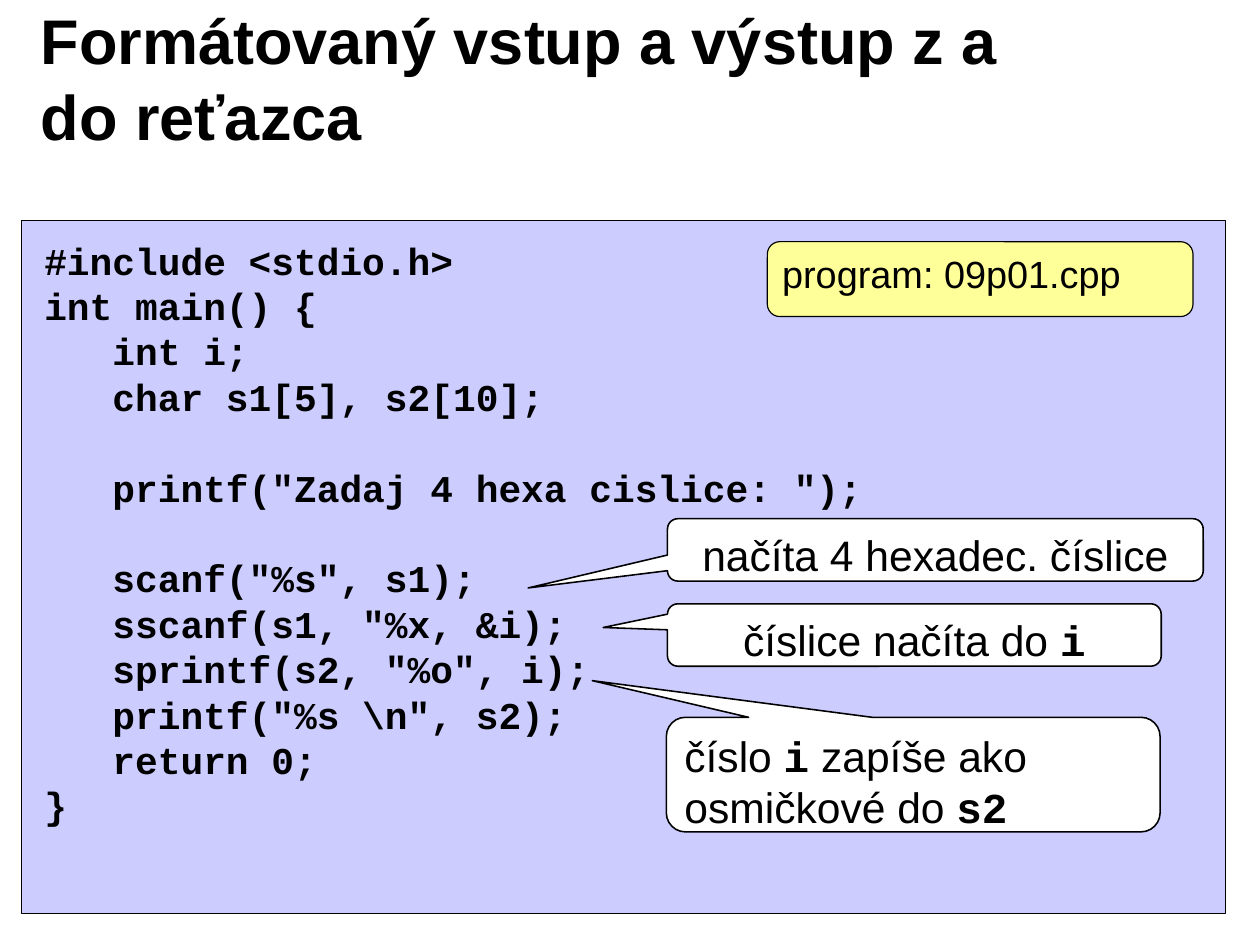
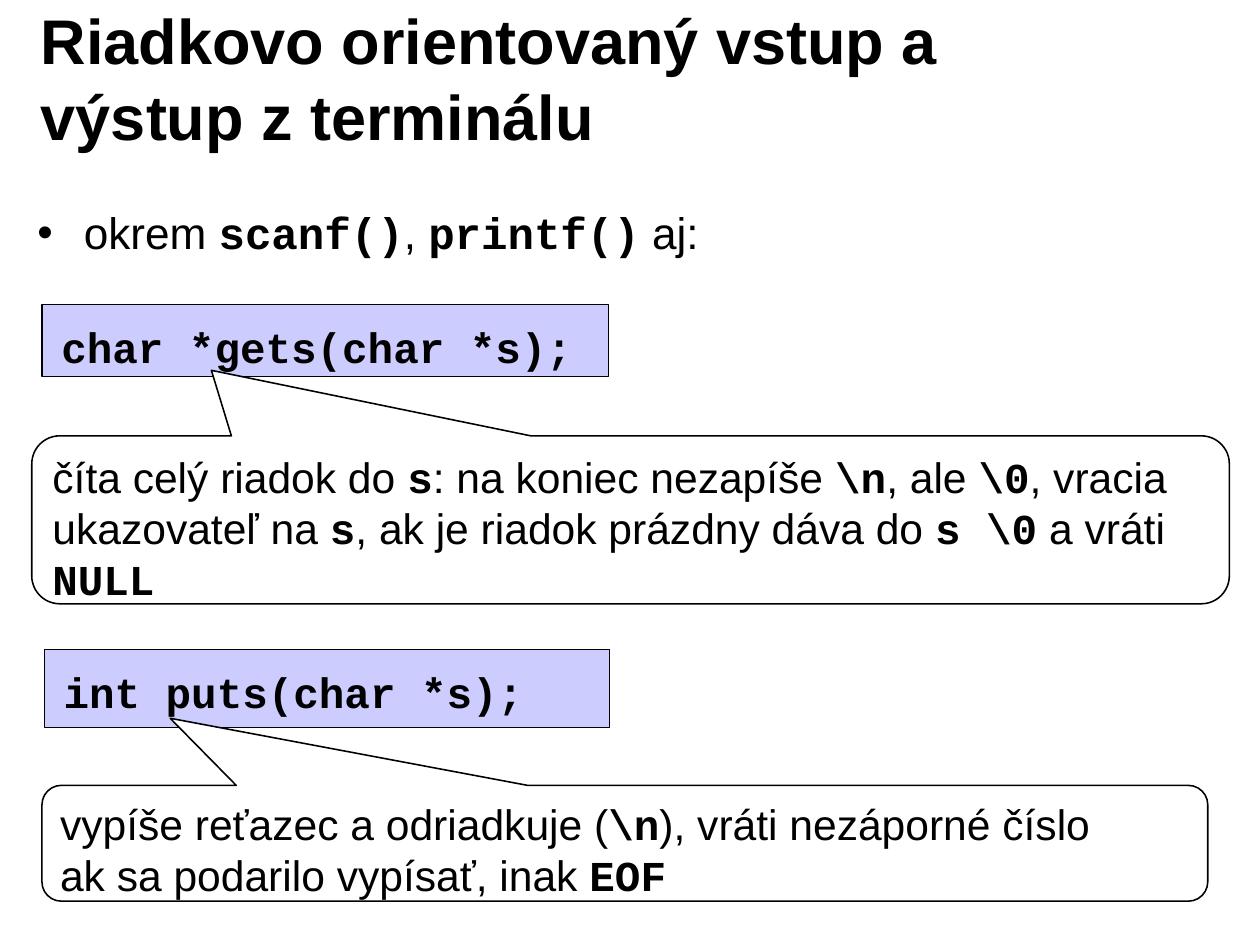
from lxml import etree
from pptx import Presentation
from pptx import util as u
from pptx.dml.color import RGBColor
from pptx.enum import shapes, text
from pptx.oxml.ns import qn

WIDTH, HEIGHT = 11.1, 8.3
BLACK, WHITE, LILAC, YELLOW = "000000", "FFFFFF", "CCCCFF", "FFFF99"
SANS, MONO = "Arial", "Courier New"
TITLE_BOX = (0.25, 0.17, 8.91, 1.02)
INSETS = (0.11, 0.06, 0.11, 0.06)
CODE_LINE = 1.2  # height of a code line, in font sizes
CORNER = 0.167

PROGRAM = r'''#include <stdio.h>
int main() {
   int i;
   char s1[5], s2[10];

   printf("Zadaj 4 hexa cislice: ");

   scanf("%s", s1);
   sscanf(s1, "%x, &i);
   sprintf(s2, "%o", i);
   printf("%s \n", s2);
   return 0;
}'''

# Backticks in prose mark code words. A pointer is the callout tip, measured
# from the callout's centre as shares of its width and height.
SLIDES = [
    {
        "title": "Formátovaný vstup a výstup z a do reťazca",
        "panels": [
            {"box": (0.19, 1.94, 10.61, 6.11), "code": PROGRAM, "size": 24,
             "insets": (0.2, 0.15, 0.1, 0)},
        ],
        "callouts": [
            {"box": (5.88, 4.57, 4.72, 0.55), "pointer": (-0.76, 0.61),
             "lines": ["načíta 4 hexadec. číslice"], "centred": True},
            {"box": (5.88, 5.32, 4.35, 0.55), "pointer": (-0.63, -0.12),
             "lines": ["číslice načíta do `i`"], "centred": True},
            {"box": (5.87, 6.32, 4.35, 1.01), "pointer": (-0.65, -0.82),
             "lines": ["číslo `i` zapíše ako osmičkové do `s2`"]},
        ],
        "file_label": {"box": (6.76, 2.13, 3.75, 0.66), "line": "program: 09p01.cpp"},
    },
    {
        "title": "Riadkovo orientovaný vstup a výstup z terminálu",
        "bullet": {"box": (0.22, 1.75, 10.66, 0.83),
                   "line": "okrem `scanf()`, `printf()` aj:"},
        "panels": [
            {"box": (0.37, 2.68, 4.99, 0.64), "code": "char *gets(char *s);",
             "size": 27, "insets": (0.17, 0.15, 0, 0)},
            {"box": (0.39, 5.72, 4.98, 0.69), "code": "int puts(char *s);",
             "size": 27, "insets": (0.17, 0.15, 0, 0)},
        ],
        "callouts": [
            {"box": (0.28, 3.84, 10.55, 1.48), "pointer": (-0.35, -0.89),
             "lines": [r"číta celý riadok do `s`: na koniec nezapíše `\n`, ale `\0`, "
                       r"vracia ukazovateľ na `s`, ak je riadok prázdny dáva do "
                       r"`s \0` a vráti `NULL`"]},
            {"box": (0.37, 6.92, 10.27, 1.02), "pointer": (-0.39, -1.08),
             "lines": [r"vypíše reťazec a odriadkuje (`\n`), vráti nezáporné číslo",
                       "ak sa podarilo vypísať, inak `EOF`"]},
        ],
    },
]


def colour(hex_value):
    return RGBColor.from_string(hex_value)


def inches(lengths):
    return [u.Inches(length) for length in lengths]


def set_frame(holder, insets=INSETS, anchor=text.MSO_ANCHOR.TOP):
    frame = holder.text_frame
    left, top, right, bottom = inches(insets)
    settings = {"word_wrap": True, "vertical_anchor": anchor, "margin_left": left,
                "margin_top": top, "margin_right": right, "margin_bottom": bottom}
    for name, value in settings.items():
        setattr(frame, name, value)
    return frame


def paragraphs(frame, count):
    return [frame.paragraphs[0]] + [frame.add_paragraph() for _ in range(count - 1)]


def add_run(paragraph, words, size, font=SANS, bold=False):
    run = paragraph.add_run()
    run.text = words
    for name, value in {"name": font, "size": u.Pt(size), "bold": bold}.items():
        setattr(run.font, name, value)
    run.font.color.rgb = colour(BLACK)


def write_prose(paragraph, line, size):
    """Write a line whose backticked words are bold code."""
    for index, words in enumerate(line.split("`")):
        is_code = index % 2 == 1
        if words:
            add_run(paragraph, words, size, MONO if is_code else SANS, is_code)


def write_code(frame, code, size):
    """Write code, turning each empty line into space before the next one."""
    lines = code.split("\n")
    shown = [i for i, line in enumerate(lines) if line]
    for index, paragraph in zip(shown, paragraphs(frame, len(shown))):
        paragraph.alignment = text.PP_ALIGN.LEFT
        if index and not lines[index - 1]:
            paragraph.space_before = u.Pt(size * CODE_LINE)
        add_run(paragraph, lines[index], size, MONO, True)


def add_box(slide, kind, box, fill, line_width):
    shape = slide.shapes.add_shape(kind, *inches(box))
    shape.shadow.inherit = False
    shape.fill.solid()
    shape.fill.fore_color.rgb = colour(fill)
    shape.line.color.rgb = colour(BLACK)
    shape.line.width = u.Pt(line_width)
    return shape


def add_title(slide, title):
    frame = set_frame(slide.shapes.add_textbox(*inches(TITLE_BOX)),
                      anchor=text.MSO_ANCHOR.MIDDLE)
    add_run(frame.paragraphs[0], title, 40, bold=True)


def add_bullet(slide, box, line):
    paragraph = set_frame(slide.shapes.add_textbox(*inches(box))).paragraphs[0]
    properties = paragraph._p.get_or_add_pPr()
    indent = u.Inches(0.41)
    properties.set("marL", str(indent))
    properties.set("indent", str(-indent))
    etree.SubElement(properties, qn("a:buFont")).set("typeface", SANS)
    etree.SubElement(properties, qn("a:buChar")).set("char", "•")
    write_prose(paragraph, line, 28)


def add_panel(slide, box, code, size, insets):
    panel = add_box(slide, shapes.MSO_SHAPE.RECTANGLE, box, LILAC, 0.75)
    write_code(set_frame(panel, insets), code, size)


def add_callout(slide, box, pointer, lines, centred=False):
    callout = add_box(slide, shapes.MSO_SHAPE.ROUNDED_RECTANGULAR_CALLOUT, box, WHITE, 1)
    for index, value in enumerate((*pointer, CORNER)):
        callout.adjustments[index] = value
    frame = set_frame(callout)
    for paragraph, line in zip(paragraphs(frame, len(lines)), lines):
        paragraph.alignment = text.PP_ALIGN.CENTER if centred else text.PP_ALIGN.LEFT
        write_prose(paragraph, line, 27)


def add_file_label(slide, box, line):
    label = add_box(slide, shapes.MSO_SHAPE.ROUNDED_RECTANGLE, box, YELLOW, 0.75)
    label.adjustments[0] = CORNER
    paragraph = set_frame(label, (0.1, 0.05, 0.1, 0.05)).paragraphs[0]
    paragraph.alignment = text.PP_ALIGN.LEFT
    write_prose(paragraph, line, 24)


def main():
    deck = Presentation()
    deck.slide_width, deck.slide_height = inches((WIDTH, HEIGHT))
    for content in SLIDES:
        slide = deck.slides.add_slide(deck.slide_layouts[6])
        add_title(slide, content["title"])
        if "bullet" in content:
            add_bullet(slide, **content["bullet"])
        for panel in content["panels"]:
            add_panel(slide, **panel)
        for callout in content["callouts"]:
            add_callout(slide, **callout)
        if "file_label" in content:
            add_file_label(slide, **content["file_label"])
    deck.save("out.pptx")


if __name__ == "__main__":
    main()
